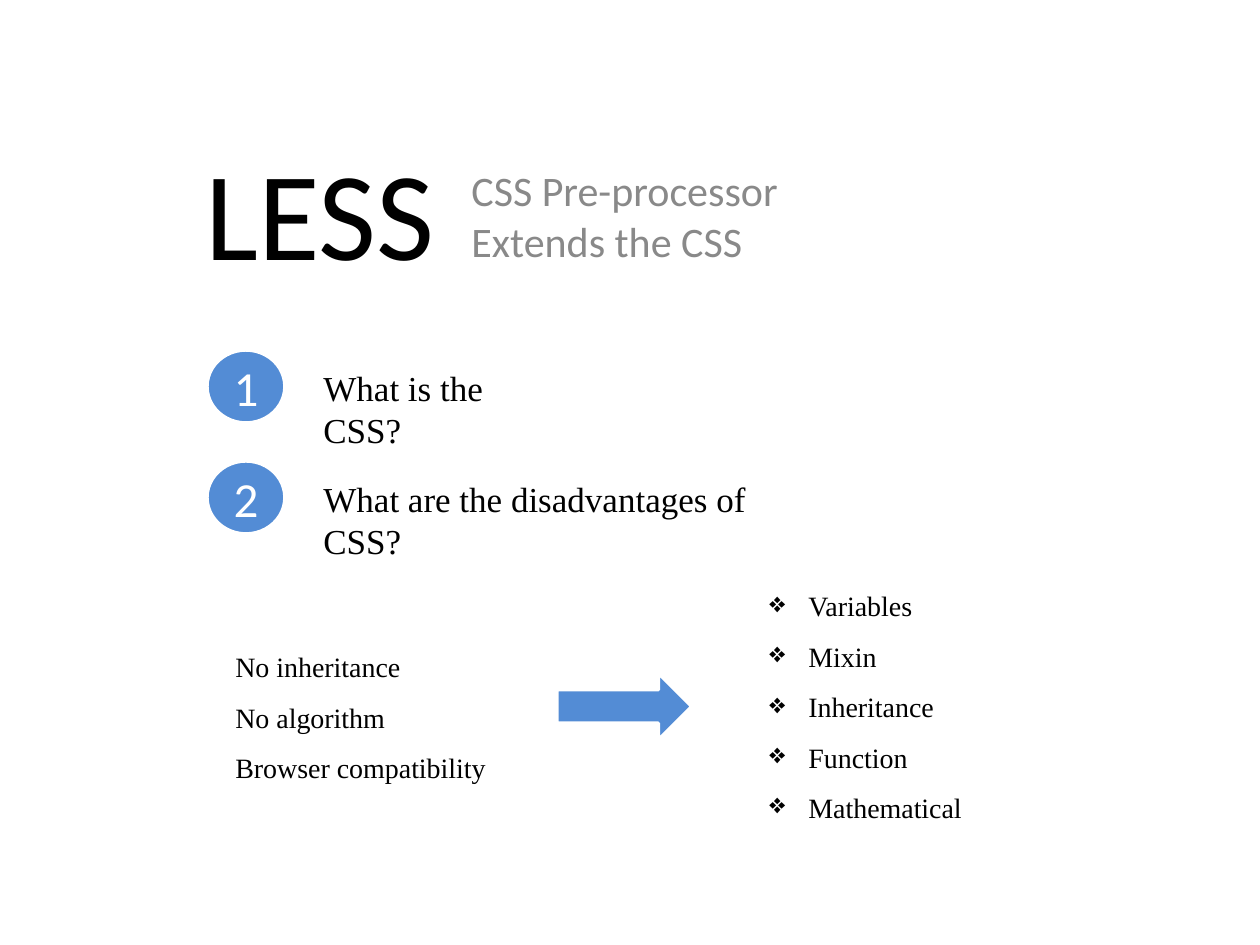
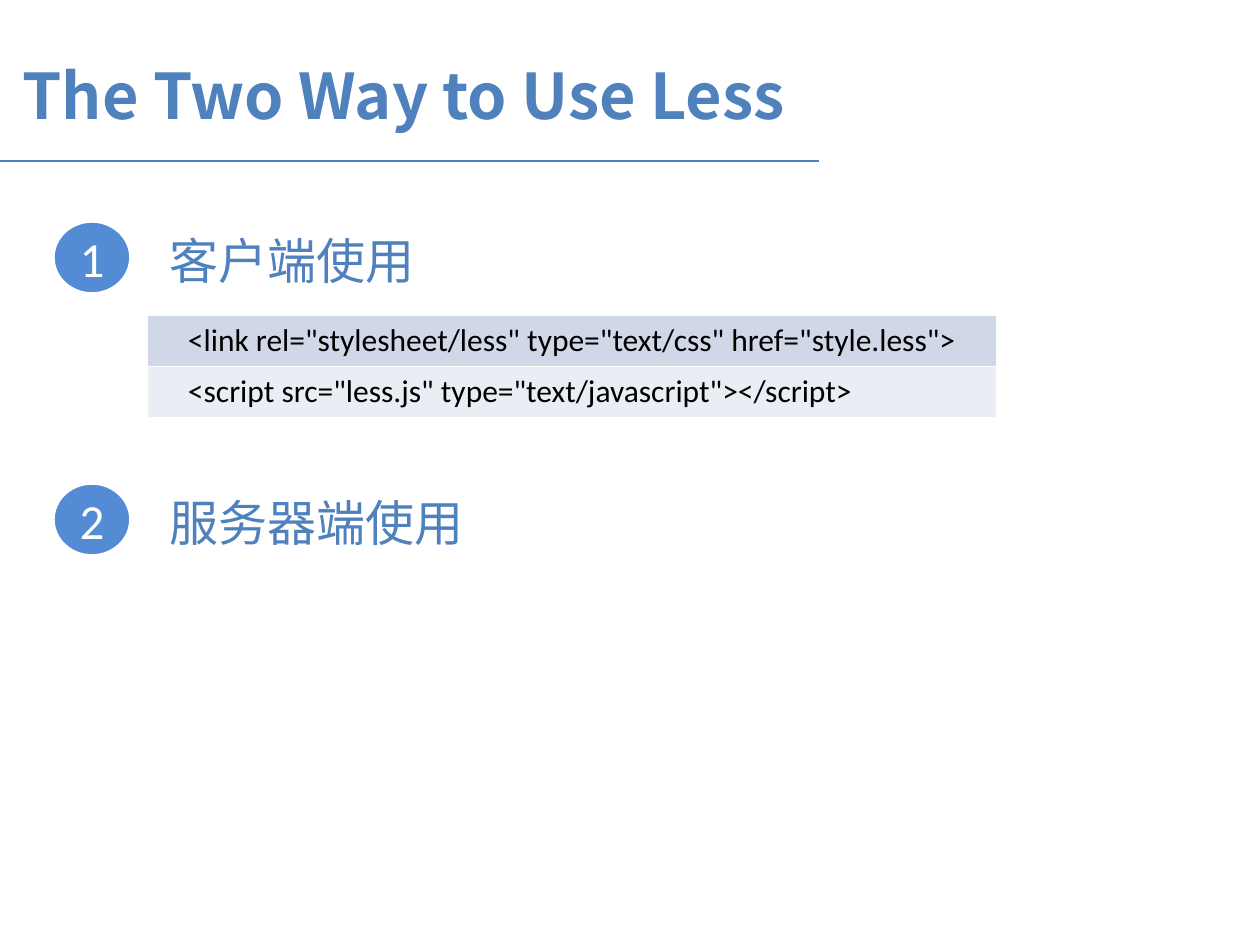
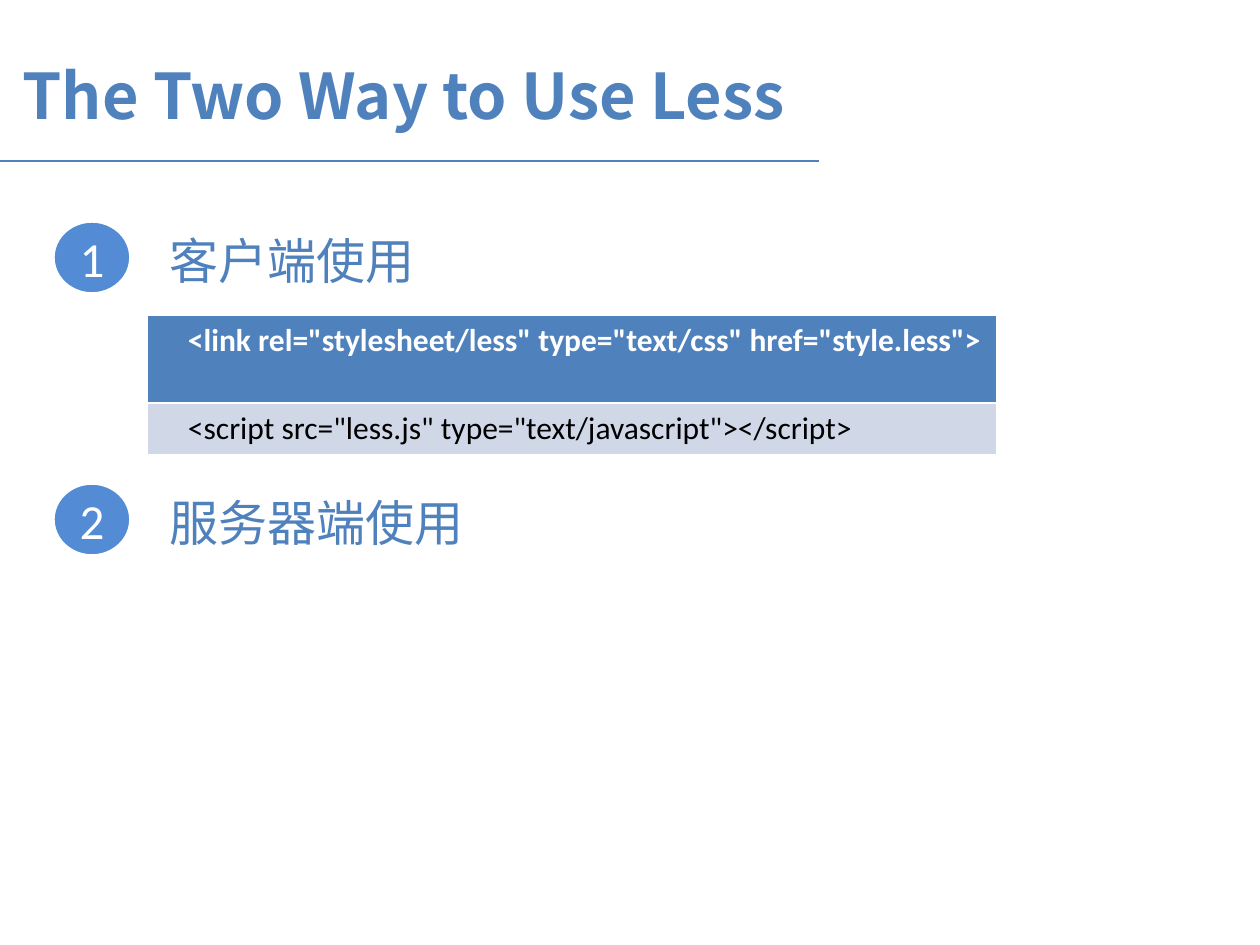
from dataclasses import dataclass

from lxml import etree
from pptx import Presentation
from pptx import util as u
from pptx.dml.color import RGBColor
from pptx.enum import shapes, text
from pptx.oxml.ns import qn

PX_PER_INCH = 126


def px(length):
    return u.Emu(round(length * 914400 / PX_PER_INCH))


def place(box):
    return [px(length) for length in box]


@dataclass(frozen=True)
class Style:
    font: str
    size: int
    color: str
    bold: bool = False


@dataclass(frozen=True)
class Theme:
    accent: str = "4F81BD"
    badge: str = "538CD5"
    white: str = "FFFFFF"
    band_dark: str = "D0D8E8"
    band_light: str = "E9EDF4"
    logo_word: Style = Style("Calibri", 72, "000000")
    tagline: Style = Style("Calibri", 24, "898989")
    question: Style = Style("Times New Roman", 20, "000000")
    points: Style = Style("Times New Roman", 16, "000000")
    number: Style = Style("Calibri", 28, "FFFFFF")
    title: Style = Style("Noto Sans CJK SC", 36, "4F81BD", True)
    heading: Style = Style("Calibri", 28, "4F81BD")
    code: Style = Style("Calibri", 18, "000000")
    code_header: Style = Style("Calibri", 18, "FFFFFF", True)


THEME = Theme()
LEFT, CENTER = text.PP_ALIGN.LEFT, text.PP_ALIGN.CENTER
CODE_LINES = ['<link rel="stylesheet/less" type="text/css" href="style.less">',
              '<script src="less.js" type="text/javascript"></script>']


def write(frame, lines, style, align=LEFT, spacing=None, gap=0, bullet=None):
    """Fill a text frame with one paragraph per line; gap is points between them."""
    frame.text = "\n".join(lines)
    for index, para in enumerate(frame.paragraphs):
        para.alignment = align
        if spacing:
            para.line_spacing = spacing
        if gap and index:
            para.space_before = u.Pt(gap)
        if bullet:
            add_bullet(para, bullet, style.color)
        for span in para.runs:
            font = span.font
            font.name, font.size, font.bold = style.font, u.Pt(style.size), style.bold
            font.color.rgb = RGBColor.from_string(style.color)


def add_bullet(para, character, color):
    props = para._p.get_or_add_pPr()
    indent = px(39)
    props.set("marL", str(indent))
    props.set("indent", str(-indent))
    bullet_color = etree.SubElement(props, qn("a:buClr"))
    etree.SubElement(bullet_color, qn("a:srgbClr"), val=color)
    etree.SubElement(props, qn("a:buChar"), char=character)


def add_text(page, box, lines, style, wrap=False, **layout):
    frame = page.shapes.add_textbox(*place(box)).text_frame
    frame.word_wrap = wrap
    write(frame, lines, style, **layout)


def add_badge_shape(page, kind, box):
    shape = page.shapes.add_shape(kind, *place(box))
    shape.shadow.inherit = False
    shape.fill.solid()
    shape.fill.fore_color.rgb = RGBColor.from_string(THEME.badge)
    shape.line.color.rgb = RGBColor.from_string(THEME.white)
    shape.line.width = u.Pt(2)
    return shape


def add_numbered_line(page, left, top, number, label, size, style, **layout):
    """Put a numbered circle at left, top with its label beside it."""
    circle = add_badge_shape(page, shapes.MSO_SHAPE.OVAL, (left, top, 78, 73))
    circle.text_frame.vertical_anchor = text.MSO_ANCHOR.MIDDLE
    write(circle.text_frame, [str(number)], THEME.number, CENTER)
    add_text(page, (left + 104, top + 10, *size), [label], style, **layout)


def add_page(deck, title, box, style, align=LEFT):
    page = deck.slides.add_slide(deck.slide_layouts[5])
    holder = page.shapes.title
    holder.left, holder.top, holder.width, holder.height = place(box)
    frame = holder.text_frame
    frame.auto_size = text.MSO_AUTO_SIZE.NONE
    frame.vertical_anchor = text.MSO_ANCHOR.MIDDLE
    write(frame, [title], style, align)
    return page


def add_rule(page, left, top, width):
    rule = page.shapes.add_connector(
        shapes.MSO_CONNECTOR.STRAIGHT, px(left), px(top), px(left + width), px(top))
    rule.line.color.rgb = RGBColor.from_string(THEME.accent)
    rule.line.width = u.Pt(1.25)
    etree.SubElement(rule._element.spPr, qn("a:effectLst"))


def set_borders(cell, widths):
    """Draw white cell borders; widths maps L, R, T, B to points."""
    props = cell._tc.get_or_add_tcPr()
    for index, side in enumerate("LRTB"):
        line = etree.Element(qn(f"a:ln{side}"), w=str(u.Pt(widths[side])))
        fill = etree.SubElement(line, qn("a:solidFill"))
        etree.SubElement(fill, qn("a:srgbClr"), val=THEME.white)
        props.insert(index, line)


def add_code_table(page, left, top, width, rows, divider):
    """Rows hold (height, fill, style); divider is the line width between them."""
    height = sum(row[0] for row in rows)
    table = page.shapes.add_table(
        len(rows), 1, *place((left, top, width, height))).table
    table.first_row = table.horz_banding = False
    last = len(rows) - 1
    for index, (line, (row_height, fill, style)) in enumerate(zip(CODE_LINES, rows)):
        table.rows[index].height = px(row_height)
        cell = table.cell(index, 0)
        cell.margin_left = px(41)
        cell.fill.solid()
        cell.fill.fore_color.rgb = RGBColor.from_string(fill)
        write(cell.text_frame, [line], style)
        set_borders(cell, {"L": 0.45, "R": 0.45,
                           "T": divider if index else 0.45,
                           "B": divider if index < last else 0.45})


def build_intro(deck):
    page = add_page(deck, "LESS", (126, 116, 388, 189), THEME.logo_word, CENTER)
    add_text(page, (459, 168, 504, 105), ["CSS Pre-processor", "Extends the CSS"],
             THEME.tagline, wrap=True, spacing=0.8, gap=6)
    questions = [("What is the CSS?", 271), ("What are the disadvantages of CSS?", 534)]
    for index, (question, width) in enumerate(questions):
        add_numbered_line(page, 207, 350 + 111 * index, index + 1, question,
                          (width, 55), THEME.question)
    add_text(page, (223, 627, 276, 164),
             ["No inheritance", "No algorithm", "Browser compatibility"],
             THEME.points, spacing=1.5)
    add_text(page, (757, 566, 218, 299),
             ["Variables", "Mixin", "Inheritance", "Function", "Mathematical"],
             THEME.points, spacing=1.5, bullet="❖")
    add_badge_shape(page, shapes.MSO_SHAPE.RIGHT_ARROW, (557, 673, 135, 67))


def build_usage(deck, rows, divider):
    page = add_page(deck, "The Two Way to Use Less", (10, 0, 1040, 189), THEME.title)
    add_rule(page, 0, 161, 819)
    add_code_table(page, 147, 315, 849, rows, divider)
    for index, heading in enumerate(["客户端使用", "服务器端使用"]):
        add_numbered_line(page, 53, 221 + 262 * index, index + 1, heading,
                          (651, 73), THEME.heading, wrap=True, spacing=0.9)


def main():
    deck = Presentation()
    deck.slide_width, deck.slide_height = px(1260), px(945)
    build_intro(deck)
    build_usage(deck, [(50, THEME.band_dark, THEME.code),
                       (50, THEME.band_light, THEME.code)], 0.45)
    build_usage(deck, [(88, THEME.accent, THEME.code_header),
                       (50, THEME.band_dark, THEME.code)], 1.47)
    deck.save("out.pptx")


if __name__ == "__main__":
    main()
